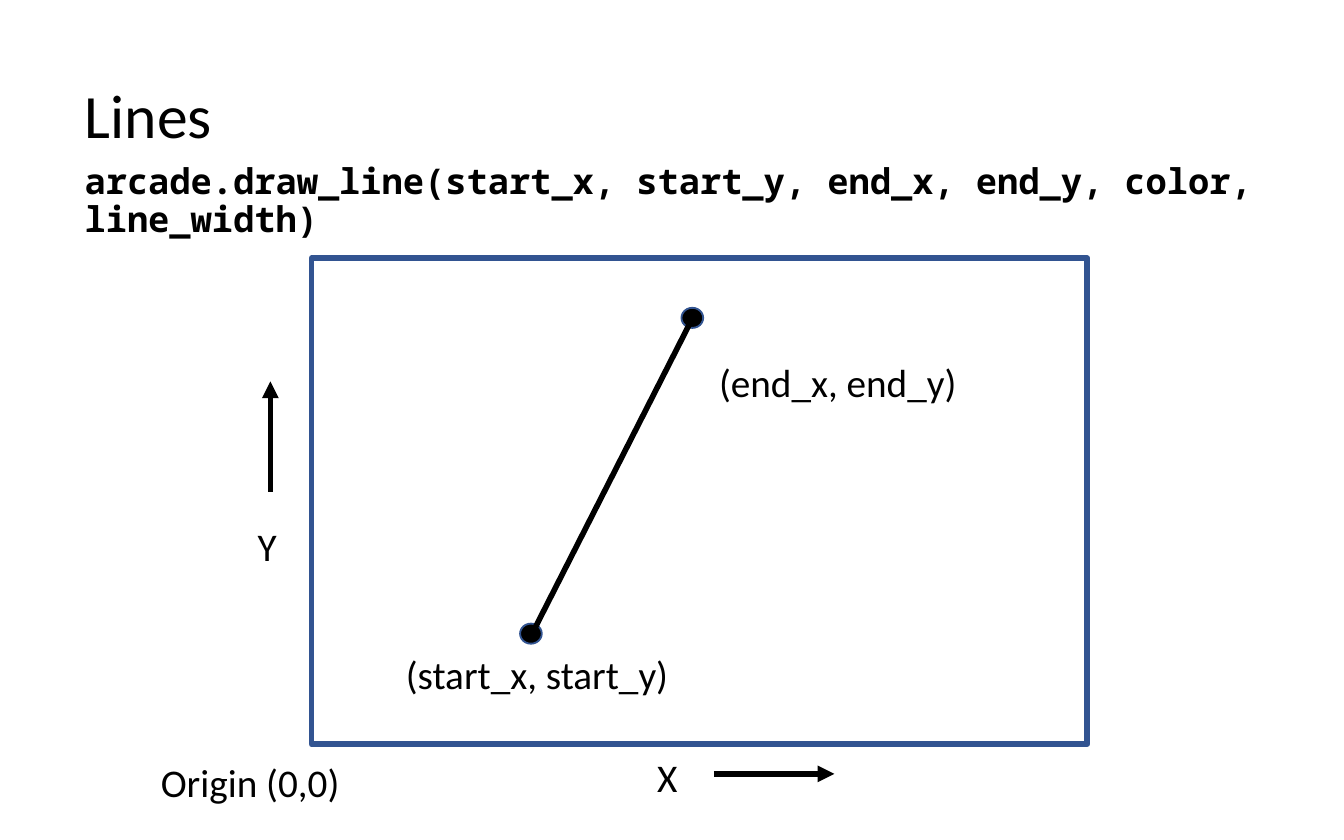
import pptx
import pptx.util
import pptx.dml.color
import pptx.enum.shapes
import pptx.enum.text
import pptx.oxml
import pptx.oxml.ns

Cm = pptx.util.Cm
Pt = pptx.util.Pt
RGBColor = pptx.dml.color.RGBColor
Shape = pptx.enum.shapes.MSO_SHAPE
Anchor = pptx.enum.text.MSO_ANCHOR
AutoSize = pptx.enum.text.MSO_AUTO_SIZE

BLACK = RGBColor(0x00, 0x00, 0x00)
BLUE = RGBColor(0x32, 0x54, 0x91)

TITLE_ONLY = 5
DOT_WIDTH, DOT_HEIGHT = 0.41, 0.38
LABEL_HEIGHT = 1.14


def apply(target, values):
    for name, value in values.items():
        setattr(target, name, value)


class LineDiagram:
    title_font = {"name": "Calibri", "size": Pt(33), "bold": False}
    code_font = {"name": "Noto Sans Mono", "size": Pt(19), "bold": True}
    label_font = {"name": "Calibri", "size": Pt(21), "bold": False}

    def __init__(self, slide):
        self.slide = slide

    def place(self, shape, left, top, width, height):
        apply(shape, {"left": Cm(left), "top": Cm(top),
                      "width": Cm(width), "height": Cm(height)})

    def fill_text(self, shape, text, font, frame_format, paragraph_format):
        frame = shape.text_frame
        frame.text = text
        apply(frame, frame_format)
        paragraph = frame.paragraphs[0]
        apply(paragraph, {"alignment": pptx.enum.text.PP_ALIGN.LEFT, **paragraph_format})
        run = paragraph.runs[0]
        apply(run.font, font)
        run.font.color.rgb = BLACK

    def title(self, text, *box):
        shape = self.slide.shapes.title
        self.place(shape, *box)
        self.fill_text(shape, text, self.title_font,
                       {"vertical_anchor": Anchor.MIDDLE, "word_wrap": True,
                        "auto_size": AutoSize.NONE},
                       {"line_spacing": 0.9})

    def code(self, text, *box):
        shape = self.slide.shapes.add_textbox(*map(Cm, box))
        self.fill_text(shape, text, self.code_font,
                       {"vertical_anchor": Anchor.TOP, "word_wrap": True,
                        "auto_size": AutoSize.NONE},
                       {"line_spacing": 0.9, "space_before": Pt(7.5)})

    def label(self, text, left, top, width, wrap=False):
        shape = self.slide.shapes.add_textbox(Cm(left), Cm(top), Cm(width), Cm(LABEL_HEIGHT))
        self.fill_text(shape, text, self.label_font,
                       {"word_wrap": wrap, "auto_size": AutoSize.SHAPE_TO_FIT_TEXT}, {})

    def outline(self, kind, box, line_width, fill=None):
        shape = self.slide.shapes.add_shape(kind, *map(Cm, box))
        shape.shadow.inherit = False
        if fill is None:
            shape.fill.background()
        else:
            shape.fill.solid()
            shape.fill.fore_color.rgb = fill
        shape.line.color.rgb = BLUE
        shape.line.width = Pt(line_width)

    def canvas(self, *box):
        self.outline(Shape.RECTANGLE, box, 3)

    def dot(self, left, top):
        self.outline(Shape.OVAL, (left, top, DOT_WIDTH, DOT_HEIGHT), 1, BLACK)

    def line(self, start, end, arrow=False):
        connector = self.slide.shapes.add_connector(
            pptx.enum.shapes.MSO_CONNECTOR.STRAIGHT, *map(Cm, start + end))
        connector.line.color.rgb = BLACK
        connector.line.width = Pt(3)
        properties = connector._element.spPr
        properties.append(pptx.oxml.parse_xml(
            f"<a:effectLst {pptx.oxml.ns.nsdecls('a')}/>"))
        if arrow:
            connector.line._get_or_add_ln().append(pptx.oxml.parse_xml(
                f"<a:tailEnd {pptx.oxml.ns.nsdecls('a')} type='triangle'/>"))


def main():
    presentation = pptx.Presentation()
    presentation.slide_width = Cm(25.4)
    presentation.slide_height = Cm(15.88)
    slide = presentation.slides.add_slide(presentation.slide_layouts[TITLE_ONLY])
    diagram = LineDiagram(slide)

    diagram.title("Lines", 1.35, 1.3, 19.58, 1.9)
    diagram.code("arcade.draw_line(start_x, start_y, end_x, end_y, color, line_width)",
                 1.35, 2.97, 23.01, 12.83)
    diagram.canvas(5.89, 4.88, 14.66, 9.19)

    diagram.label("Origin (0,0)", 2.79, 14.22, 4.06)
    diagram.label("X", 12.17, 14.12, 1.04)
    diagram.label("Y", 4.62, 9.75, 0.97)
    diagram.line((5.11, 9.3), (5.11, 7.21), arrow=True)
    diagram.line((13.49, 14.63), (15.77, 14.63), arrow=True)

    diagram.dot(9.83, 11.79)
    diagram.label("(start_x, start_y)", 7.42, 12.17, 6.86, wrap=True)
    diagram.dot(12.88, 5.82)
    diagram.label("(end_x, end_y)", 13.34, 6.65, 6.86, wrap=True)
    diagram.line((10.01, 12.07), (13.11, 5.97))

    presentation.save("out.pptx")


if __name__ == "__main__":
    main()
